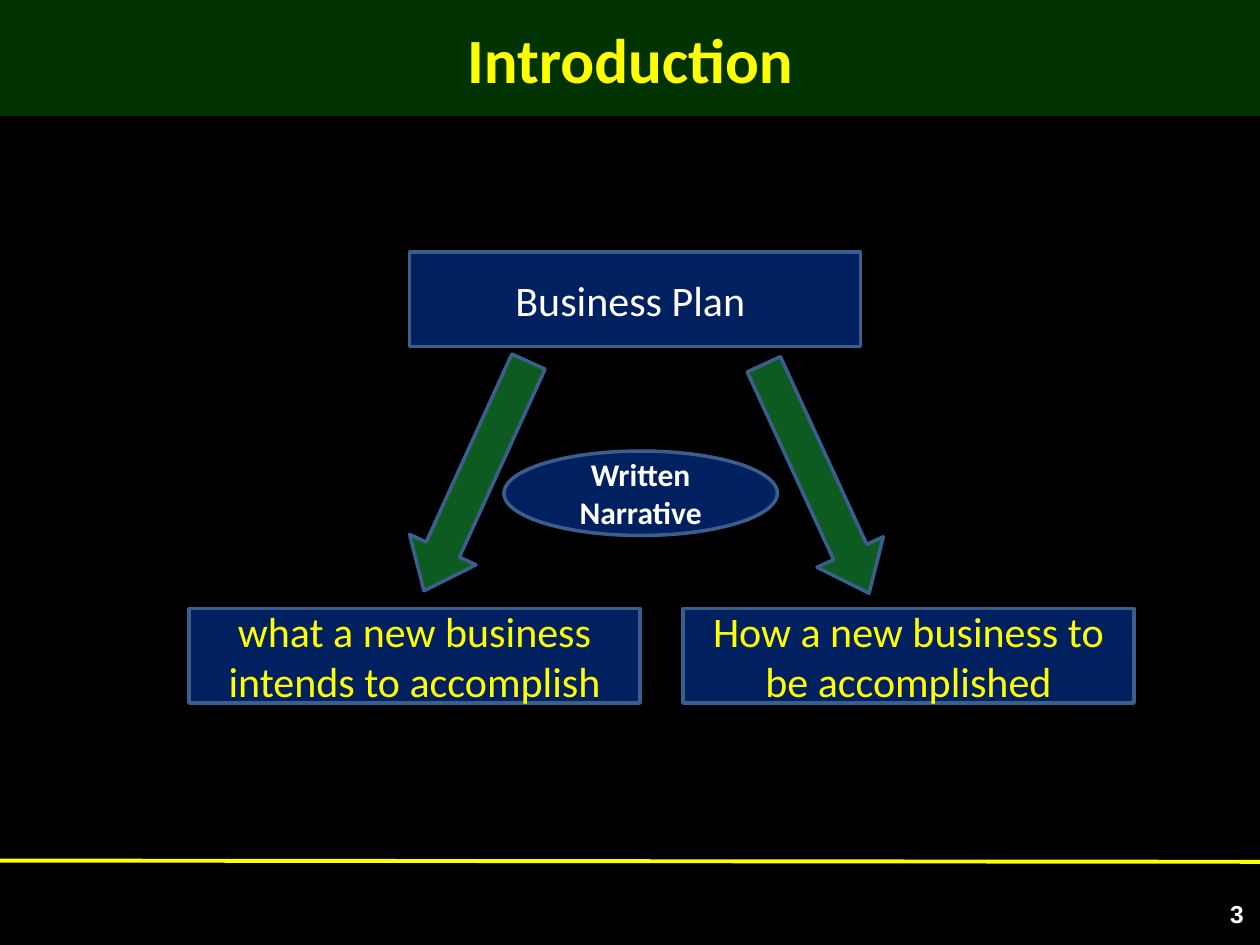
from dataclasses import dataclass

from lxml.etree import SubElement
from pptx import Presentation
from pptx.dml.color import RGBColor
from pptx.enum.shapes import MSO_CONNECTOR, MSO_SHAPE
from pptx.enum.text import MSO_ANCHOR, MSO_AUTO_SIZE, PP_ALIGN
from pptx.oxml.ns import qn
from pptx.util import Inches, Pt


@dataclass(frozen=True)
class Theme:
    background: str = "000000"
    banner: str = "003300"
    panel: str = "002060"
    outline: str = "3A5F8C"
    arrow: str = "0D5B21"
    accent: str = "FFFF00"
    light: str = "FFFFFF"
    font: str = "Calibri"
    number_font: str = "Arial"
    title_size: int = 36
    box_size: int = 24
    label_size: int = 18
    number_size: int = 14
    outline_width: float = 2
    rule_width: float = 2.25


THEME = Theme()
BOX_WIDTH, BOX_HEIGHT = 3.58, 0.75


def color(value):
    return RGBColor.from_string(value)


def paint(shape, value):
    shape.fill.solid()
    shape.fill.fore_color.rgb = color(value)


def write(shape, text, size=THEME.box_size, ink=THEME.light, bold=False,
          font=THEME.font, align=PP_ALIGN.CENTER):
    frame = shape.text_frame
    frame.word_wrap = True
    frame.auto_size = MSO_AUTO_SIZE.NONE
    frame.vertical_anchor = MSO_ANCHOR.MIDDLE
    para = frame.paragraphs[0]
    para.alignment = align
    span = para.add_run()
    span.text = text
    span.font.name = font
    span.font.size = Pt(size)
    span.font.bold = bold
    span.font.color.rgb = color(ink)


def add_title(page, text):
    title = page.shapes.title
    title.left, title.top = Inches(0), Inches(0)
    title.width, title.height = Inches(10), Inches(0.92)
    paint(title, THEME.banner)
    write(title, text, size=THEME.title_size, ink=THEME.accent, bold=True)


def add_outlined(page, kind, left, top, width, height, fill=THEME.panel):
    shape = page.shapes.add_shape(
        kind, Inches(left), Inches(top), Inches(width), Inches(height))
    shape.shadow.inherit = False
    paint(shape, fill)
    shape.line.color.rgb = color(THEME.outline)
    shape.line.width = Pt(THEME.outline_width)
    return shape


def add_box(page, text, left, top, ink=THEME.accent):
    box = add_outlined(page, MSO_SHAPE.RECTANGLE, left, top, BOX_WIDTH, BOX_HEIGHT)
    write(box, text, ink=ink)


def add_arrow(page, left, top, rotation):
    arrow = add_outlined(page, MSO_SHAPE.DOWN_ARROW, left, top, 0.58, 2, THEME.arrow)
    arrow.adjustments[0] = 0.5
    arrow.adjustments[1] = 0.62
    arrow.rotation = rotation


def add_footer(page, number):
    rule = page.shapes.add_connector(
        MSO_CONNECTOR.STRAIGHT, Inches(0), Inches(6.83), Inches(10), Inches(6.84))
    rule.line.color.rgb = color(THEME.accent)
    rule.line.width = Pt(THEME.rule_width)
    SubElement(rule._element.spPr, qn("a:effectLst"))
    box = page.shapes.add_textbox(Inches(9.33), Inches(7), Inches(0.64), Inches(0.5))
    write(box, number, size=THEME.number_size, bold=True,
          font=THEME.number_font, align=PP_ALIGN.RIGHT)


def main():
    deck = Presentation()
    deck.slide_width, deck.slide_height = Inches(10), Inches(7.5)
    page = deck.slides.add_slide(deck.slide_layouts[5])
    paint(page.background, THEME.background)

    add_footer(page, "3")
    add_title(page, "Introduction")
    add_box(page, "Business Plan ", 3.25, 2, ink=THEME.light)
    add_arrow(page, 3.49, 2.78, 24.5)
    add_box(page, "what a new business intends to accomplish", 1.5, 4.83)
    add_box(page, "How a new business to be accomplished", 5.42, 4.83)
    add_arrow(page, 6.19, 2.8, 335.3)
    label = add_outlined(page, MSO_SHAPE.OVAL, 4, 3.58, 2.17, 0.67)
    write(label, "Written Narrative", size=THEME.label_size, bold=True)

    deck.save("out.pptx")


if __name__ == "__main__":
    main()
